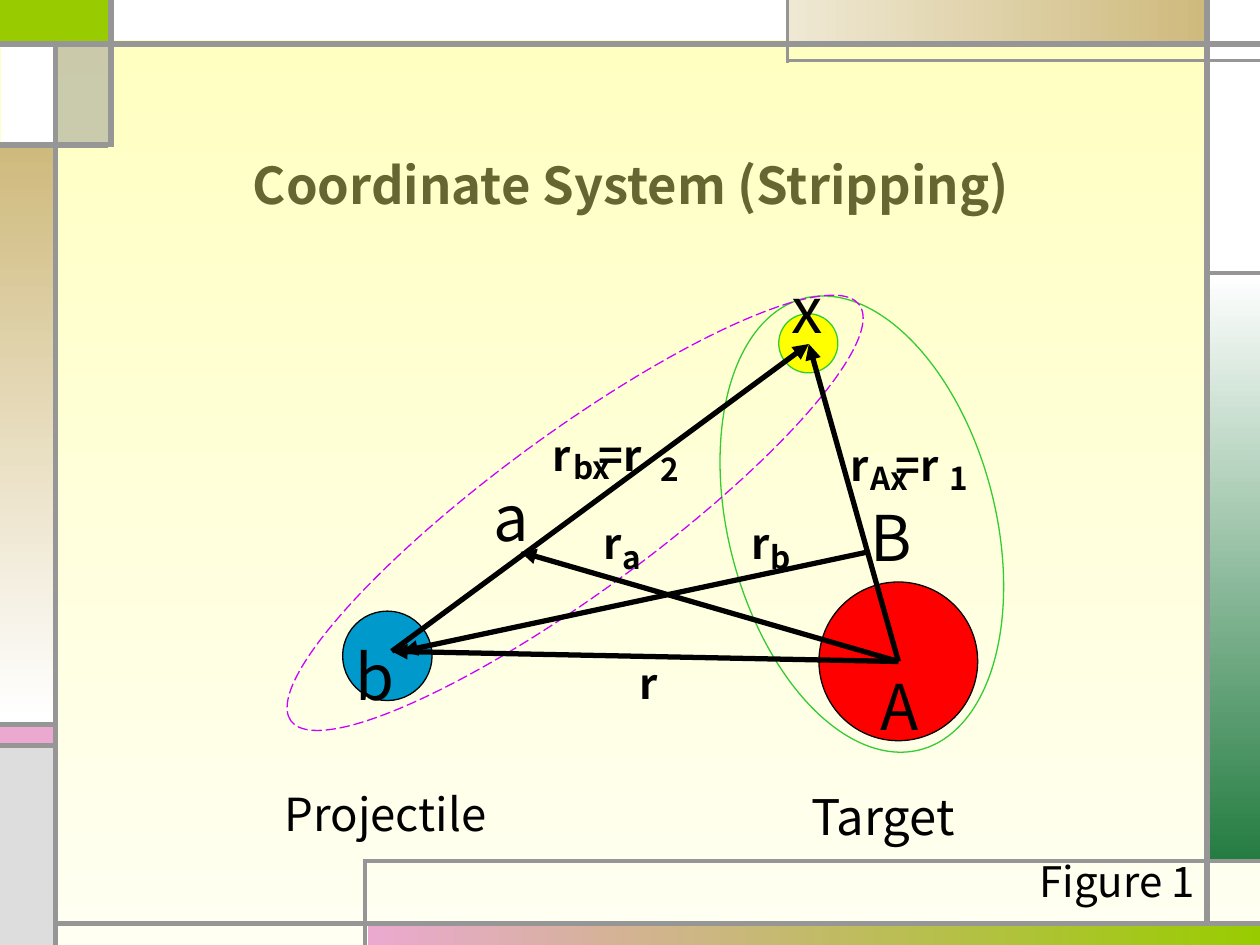
from dataclasses import dataclass
from lxml.etree import SubElement
from pptx import Presentation
from pptx.dml.color import RGBColor
from pptx.enum.dml import MSO_LINE
from pptx.enum.shapes import MSO_CONNECTOR, MSO_SHAPE
from pptx.enum.text import MSO_ANCHOR, MSO_AUTO_SIZE, PP_ALIGN
from pptx.oxml.ns import qn
from pptx.util import Pt


@dataclass(frozen=True)
class Theme:
    """Colours, font, type sizes and line weights of the slide."""
    font: str = "Noto Sans CJK KR"
    black: str = "000000"
    white: str = "FFFFFF"
    title: str = "666633"
    lime: str = "99CC00"
    pink: str = "EBA9D0"
    tan: str = "CFBA7D"
    cream: str = "EFE8D3"
    forest: str = "247C41"
    silver: str = "DDDDDD"
    grey: str = "969696"
    red: str = "FF0000"
    yellow: str = "FFFF00"
    blue: str = "0099CC"
    green: str = "33CC33"
    violet: str = "CC00FF"
    paper: tuple = ("FFFFBF", "FFFFF2")
    title_pt: int = 29
    body_pt: int = 26
    caption_pt: int = 28
    nucleus_pt: int = 36
    vector_pt: int = 24
    index_pt: int = 18
    heavy: float = 3
    medium: float = 2.25
    thin: float = 0.75


T = Theme()
RIGHT, DOWN = 0, 270


def apply(obj, formats):
    """Set every attribute of obj named in formats."""
    for name, value in formats.items():
        setattr(obj, name, value)


def rgb(code):
    """Turn a hex code into a colour."""
    return RGBColor.from_string(code)


def paint(fill, colour, angle=DOWN):
    """Fill with one colour, a pair of gradient colours, or nothing."""
    if colour is None:
        fill.background()
    elif isinstance(colour, tuple):
        fill.gradient()
        fill.gradient_angle = angle
        for stop, code in zip(fill.gradient_stops, colour):
            stop.color.rgb = rgb(code)
    else:
        fill.solid()
        fill.fore_color.rgb = rgb(colour)


def place(sp, box):
    """Move and size a shape, in points."""
    apply(sp, dict(zip(("left", "top", "width", "height"), map(Pt, box))))


def add_shape(s, kind, box, colour, line=None, angle=DOWN, rotation=0):
    """Add a flat preset shape."""
    sp = s.shapes.add_shape(kind, *map(Pt, box))
    sp.shadow.inherit = False
    sp.rotation = rotation
    paint(sp.fill, colour, angle)
    paint(sp.line.fill, line)
    if line:
        sp.line.width = Pt(T.thin)
    return sp


def add_line(s, start, end, colour, weight, arrow=False):
    """Add a straight line, with an arrowhead at its end if asked."""
    cx = s.shapes.add_connector(MSO_CONNECTOR.STRAIGHT, *map(Pt, (*start, *end)))
    apply(cx.line, {"width": Pt(weight)})
    cx.line.color.rgb = rgb(colour)
    if arrow:
        SubElement(cx.line._get_or_add_ln(), qn("a:tailEnd"), type="triangle")
    SubElement(cx._element.spPr, qn("a:effectLst"))


def write(sp, text, size, bold=False, colour=T.black, align=PP_ALIGN.LEFT,
          anchor=MSO_ANCHOR.TOP, fit=MSO_AUTO_SIZE.NONE):
    """Write one formatted paragraph and return it."""
    tf = sp.text_frame
    apply(tf, {"word_wrap": True, "auto_size": fit, "vertical_anchor": anchor})
    p = tf.paragraphs[0]
    apply(p, {"alignment": align, "space_before": Pt(0)})
    r = p.add_run()
    r.text = text
    apply(r.font, {"name": T.font, "size": Pt(size), "bold": bold})
    r.font.color.rgb = rgb(colour)
    return p


def add_label(s, text, left, top, width, size, bold=False):
    """Add a text box that grows with its text."""
    sp = s.shapes.add_textbox(*map(Pt, (left, top, width, 1.4 * size + 2)))
    return write(sp, text, size, bold, fit=MSO_AUTO_SIZE.SHAPE_TO_FIT_TEXT)


def draw_frame(s, box):
    """Draw the coloured border tiles and the grey rules."""
    x, y, w, h = box
    tiles = (
        ((0, 0, 62.6, 24.5), T.lime, DOWN),
        ((210.2, 527.8, 509.8, 12.2), (T.pink, T.lime), RIGHT),
        ((689.8, 156.2, 30.2, 336.2), (T.white, T.forest), DOWN),
        ((0, 414, 30.2, 12.2), T.pink, DOWN),
        ((0, 427, 30.2, 113), T.silver, DOWN),
        ((689.8, 0, 30.2, 156.2), T.white, DOWN),
        ((450, 0, 239.8, 23.8), (T.cream, T.tan), RIGHT),
        ((0, 82.8, 30.2, 329.8), (T.tan, T.white), DOWN),
        ((0.7, 23.8, 30.2, 59), T.white, DOWN),
        ((61.9, 0, 388.1, 23), T.white, DOWN),
    )
    for (left, top, width, height), colour, angle in tiles:
        add_shape(s, MSO_SHAPE.RECTANGLE, (x + left, y + top, width, height),
                  colour, angle=angle)
    veil = add_shape(s, MSO_SHAPE.RECTANGLE, (x + 33.1, y + 23.8, 30.2, 59), T.grey)
    SubElement(veil._element.spPr.find(f".//{qn('a:srgbClr')}"),
               qn("a:alpha"), val="50000")
    across = ((527.8, 31.7, w, T.heavy), (25.2, 0, w, T.heavy),
              (34.6, 450, w, T.medium), (156.2, 689.8, w, T.medium),
              (82.8, 0, 61.9, T.heavy), (491.8, 208, w, T.medium),
              (414, 0, 33.1, T.heavy), (426.2, 0, 33.1, T.heavy))
    upright = ((31.7, 23.8, h, T.heavy), (689.8, 0, 527.8, T.heavy),
               (450, 0, 36, T.medium), (63.4, 0, 84.2, T.heavy),
               (208.8, 491, h, T.medium))
    for level, start, end, weight in across:
        add_line(s, (x + start, y + level), (x + end, y + level), T.grey, weight)
    for level, start, end, weight in upright:
        add_line(s, (x + level, y + start), (x + level, y + end), T.grey, weight)


def fill_title(s, box):
    """Place the slide title."""
    sp = s.shapes.title
    place(sp, box)
    write(sp, "Coordinate System (Stripping)", T.title_pt, True, T.title,
          PP_ALIGN.CENTER, MSO_ANCHOR.MIDDLE)


def fill_body(s, box):
    """Place the projectile caption in the body placeholder."""
    sp = s.placeholders[1]
    place(sp, box)
    pPr = write(sp, "Projectile", T.body_pt)._p.get_or_add_pPr()
    apply_indent = {"marL": "0", "indent": "0"}
    for name, value in apply_indent.items():
        pPr.set(name, value)
    SubElement(pPr, qn("a:buNone"))


def draw_diagram(s, box):
    """Draw the nuclei, their groupings, the vectors and the labels."""
    x, y = box[:2]
    ellipses = (
        ((348, 188.6, 90.7, 90.7), T.red, T.black, 0),
        ((325, 35.3, 33.8, 33.8), T.yellow, T.green, 0),
        ((75.8, 205.2, 51.1, 51.1), T.blue, T.black, 0),
        ((296.2, 22.3, 152.6, 266.4), None, T.green, 345.5),
        ((7.4, 103.7, 402.5, 90.7), None, T.violet, 323.8),
    )
    for (left, top, width, height), colour, line, rotation in ellipses:
        sp = add_shape(s, MSO_SHAPE.OVAL, (x + left, y + top, width, height),
                       colour, line, rotation=rotation)
    sp.line.dash_style = MSO_LINE.LONG_DASH

    ends = {"A": (393.4, 234), "x": (342.2, 52.6), "b": (103.9, 228.2),
            "a": (177.4, 171.4), "B": (376.1, 171.4), "b edge": (109.7, 228.2)}
    ends = {name: (x + px, y + py) for name, (px, py) in ends.items()}
    for start, end in (("A", "x"), ("b", "x"), ("A", "a"), ("A", "b"), ("B", "b edge")):
        add_line(s, ends[start], ends[end], T.black, T.heavy, True)

    groups = (
        (T.caption_pt, False, (("Target", 336.5, 301.7, 130.3),)),
        (T.nucleus_pt, False, (("A", 376.1, 234, 39.6), ("B", 370.3, 137.5, 58.3),
                               ("a", 155, 126, 34.6), ("b", 75.8, 216.7, 36.7),
                               ("x", 325, 7.2, 32.4))),
        (T.vector_pt, True, (("r\t=r", 358.8, 103.7, 96.5), ("r\t=r", 188.9, 97.9, 108),
                             ("r", 302.6, 148.3, 39.6), ("r", 217.7, 148.3, 28.1),
                             ("r", 238.6, 228.2, 25.2))),
        (T.index_pt, True, (("Ax", 370.3, 114.5, 45.4), ("1", 415.7, 114.5, 28.1),
                            ("bx", 200.4, 108.7, 45.4), ("2", 250.1, 109.4, 24.5),
                            ("b", 313.4, 159.8, 39.6), ("a", 228.5, 159.8, 51.1))),
    )
    for size, bold, labels in groups:
        for text, left, top, width in labels:
            p = add_label(s, text, x + left, y + top, width, size, bold)
            if "\t" in text:
                tabs = SubElement(p._p.get_or_add_pPr(), qn("a:tabLst"))
                SubElement(tabs, qn("a:tab"), pos=str(Pt(26)), algn="l")


def main():
    """Build and save the slide."""
    prs = Presentation()
    apply(prs, {"slide_width": Pt(720), "slide_height": Pt(540)})
    s = prs.slides.add_slide(prs.slide_layouts[1])
    paint(s.background.fill, T.paper)
    draw_frame(s, (0, 0, 720, 540))
    fill_title(s, (36.7, 60.5, 648, 90))
    fill_body(s, (155.5, 445.7, 198.7, 51.1))
    add_label(s, "Figure 1", 586.8, 485.3, 118.8, T.vector_pt)
    draw_diagram(s, (120, 144, 470, 350))
    prs.save("out.pptx")


if __name__ == "__main__":
    main()
